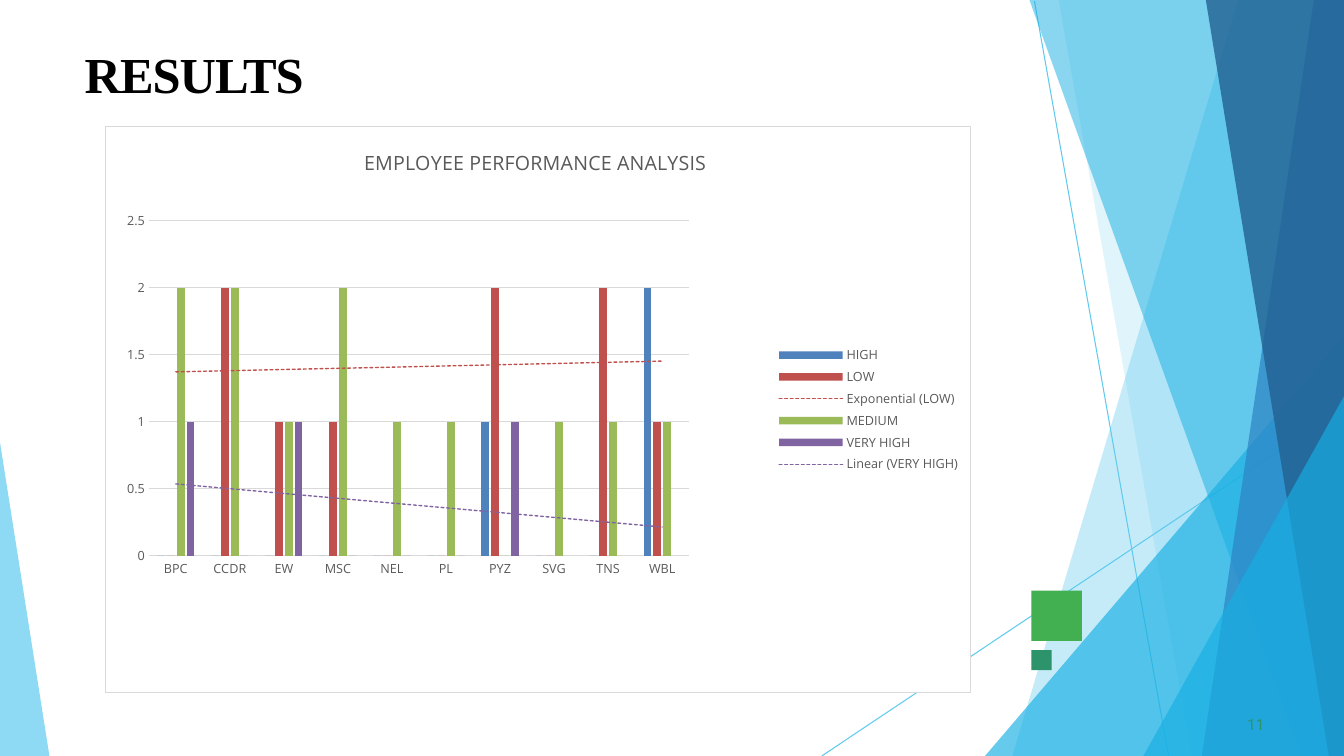
from dataclasses import dataclass

from lxml import etree
from pptx import Presentation
from pptx import util as u
from pptx.chart import data as chart_data
from pptx.dml.color import RGBColor
from pptx.enum import chart as chart_enum
from pptx.enum import dml, shapes, text
from pptx.oxml import parse_xml
from pptx.oxml.ns import nsdecls, qn

WIDTH, HEIGHT = 13.33, 7.5
COLORS = {
    "sky": "5FCAEE", "cyan": "17AFE3", "blue": "2D83C3", "navy": "226192",
    "green": "42AF51", "teal": "2D936B", "black": "000000", "white": "FFFFFF",
    "label": "595959", "rule": "D9D9D9", "high": "4F81BD", "low": "C0504D",
    "medium": "9BBB59", "very_high": "8064A2",
}


@dataclass
class Facet:
    color: str
    opacity: int
    points: list[tuple[float, float]]


@dataclass
class Ray:
    start: tuple[float, float]
    end: tuple[float, float]


@dataclass
class Square:
    left: float
    top: float
    side: float
    color: str


@dataclass
class Rating:
    name: str
    counts: tuple
    color: str
    trend: str = ""


def right_facet(color: str, opacity: int, top_left: float, bottom_left: float) -> Facet:
    return Facet(color, opacity, [(WIDTH, 0), (top_left, 0), (bottom_left, HEIGHT), (WIDTH, HEIGHT)])


def corner_facet(color: str, opacity: int, top: float, left: float) -> Facet:
    return Facet(color, opacity, [(WIDTH, top), (left, HEIGHT), (WIDTH, HEIGHT)])


RAYS = [Ray((10.26, 0.01), (11.59, HEIGHT)), Ray((WIDTH, 4.04), (8.15, HEIGHT))]
FACETS = [
    right_facet("sky", 36, 12.28, 10.04),
    right_facet("sky", 20, 10.5, 11.82),
    corner_facet("cyan", 66, 3.33, 9.77),
    right_facet("cyan", 50, 10.21, 12.91),
    right_facet("blue", 70, 13.03, 11.92),
    right_facet("navy", 80, 11.96, 13.18),
    corner_facet("cyan", 66, 3.93, 11.34),
    Facet("sky", 70, [(0, 4.39), (0, HEIGHT), (0.49, HEIGHT)]),
]
SQUARES = [Square(10.23, 5.86, 0.5, "green"), Square(10.23, 6.45, 0.2, "teal")]
UNITS = ["BPC", "CCDR", "EW", "MSC", "NEL", "PL", "PYZ", "SVG", "TNS", "WBL"]
RATINGS = [
    Rating("HIGH", (0, 0, 0, 0, 0, 0, 1, 0, 0, 2), "high"),
    Rating("LOW", (0, 2, 1, 1, 0, 0, 2, 0, 2, 1), "low", "exp"),
    Rating("MEDIUM", (2, 2, 1, 2, 1, 1, 0, 1, 1, 1), "medium"),
    Rating("VERY HIGH", (1, 0, 1, 0, 0, 0, 1, None, None, None), "very_high", "linear"),
]


def rgb(color: str) -> RGBColor:
    return RGBColor.from_string(COLORS[color])


def paint(shape, color: str) -> None:
    shape.shadow.inherit = False
    shape.fill.solid()
    shape.fill.fore_color.rgb = rgb(color)
    shape.line.fill.background()


def style_font(font, size: float, color: str, name: str = "Open Sans", bold: bool = False) -> None:
    font.size, font.name, font.bold = u.Pt(size), name, bold
    font.color.rgb = rgb(color)


def draw_ray(slide, ray: Ray) -> None:
    ends = [u.Inches(value) for value in (*ray.start, *ray.end)]
    line = slide.shapes.add_connector(shapes.MSO_CONNECTOR.STRAIGHT, *ends)
    line.line.color.rgb = rgb("sky")
    line.line.width = u.Pt(0.75)
    etree.SubElement(line._element.spPr, qn("a:effectLst"))


def draw_facet(slide, facet: Facet) -> None:
    corners = [(u.Inches(x), u.Inches(y)) for x, y in facet.points]
    builder = slide.shapes.build_freeform(*corners[0])
    builder.add_line_segments(corners[1:], close=True)
    shape = builder.convert_to_shape()
    paint(shape, facet.color)
    fill_color = shape._element.spPr.find(qn("a:solidFill")).find(qn("a:srgbClr"))
    etree.SubElement(fill_color, qn("a:alpha")).set("val", str(facet.opacity * 1000))


def draw_square(slide, square: Square) -> None:
    bounds = [u.Inches(value) for value in (square.left, square.top, square.side, square.side)]
    paint(slide.shapes.add_shape(shapes.MSO_SHAPE.RECTANGLE, *bounds), square.color)


def write_text(shape, words: str, bounds: tuple, indent: float, before: float):
    shape.left, shape.top, shape.width, shape.height = [u.Inches(value) for value in bounds]
    frame = shape.text_frame
    frame.text = words
    frame.word_wrap = True
    frame.auto_size = text.MSO_AUTO_SIZE.NONE
    frame.vertical_anchor = text.MSO_ANCHOR.TOP
    frame.margin_left = u.Inches(indent)
    frame.margin_right = frame.margin_bottom = 0
    frame.margin_top = u.Inches(0.01)
    paragraph = frame.paragraphs[0]
    paragraph.alignment = text.PP_ALIGN.LEFT
    paragraph.space_before = u.Pt(before)
    return paragraph.runs[0]


def add_trend(series, rating: Rating) -> None:
    trend = parse_xml(
        f'<c:trendline {nsdecls("c", "a")}><c:spPr><a:ln w="12700" cap="rnd"><a:solidFill>'
        f'<a:srgbClr val="{COLORS[rating.color]}"/></a:solidFill><a:prstDash val="sysDash"/></a:ln></c:spPr>'
        f'<c:trendlineType val="{rating.trend}"/><c:dispRSqr val="0"/><c:dispEq val="0"/></c:trendline>'
    )
    series._element.find(qn("c:cat")).addprevious(trend)


def frame_chart(chart) -> None:
    border = parse_xml(
        f'<c:spPr {nsdecls("c", "a")}><a:solidFill><a:srgbClr val="{COLORS["white"]}"/></a:solidFill>'
        f'<a:ln w="12700"><a:solidFill><a:srgbClr val="{COLORS["rule"]}"/></a:solidFill></a:ln></c:spPr>'
    )
    chart._chartSpace.find(qn("c:chart")).addnext(border)
    plot_area = chart._chartSpace.chart.plotArea
    for previous in plot_area.findall(qn("c:layout")):
        plot_area.remove(previous)
    places = "".join(
        f'<c:{key} val="{value}"/>' for key, value in
        (("layoutTarget", "inner"), ("xMode", "edge"), ("yMode", "edge"),
         ("x", 0.05), ("y", 0.166), ("w", 0.625), ("h", 0.592))
    )
    plot_area.insert(0, parse_xml(
        f'<c:layout {nsdecls("c")}><c:manualLayout>{places}</c:manualLayout></c:layout>'))


def draw_performance(slide) -> None:
    performance = chart_data.CategoryChartData()
    performance.categories = UNITS
    for rating in RATINGS:
        performance.add_series(rating.name, rating.counts)
    bounds = [u.Inches(value) for value in (1.04, 1.25, 8.59, 5.63)]
    chart = slide.shapes.add_chart(
        chart_enum.XL_CHART_TYPE.COLUMN_CLUSTERED, *bounds, performance).chart
    style_font(chart.font, 10, "black")
    chart.has_title = True
    chart.chart_title.text_frame.text = "EMPLOYEE PERFORMANCE ANALYSIS "
    style_font(chart.chart_title.text_frame.paragraphs[0].runs[0].font, 14, "label")
    chart.has_legend = True
    chart.legend.position = chart_enum.XL_LEGEND_POSITION.RIGHT
    chart.legend.include_in_layout = False
    style_font(chart.legend.font, 9, "label")
    for axis in (chart.category_axis, chart.value_axis):
        axis.major_tick_mark = axis.minor_tick_mark = chart_enum.XL_TICK_MARK.NONE
        style_font(axis.tick_labels.font, 9, "label")
    counts = chart.value_axis
    counts.minimum_scale, counts.maximum_scale, counts.major_unit = 0, 2.5, 0.5
    counts.format.line.fill.background()
    for rule in (chart.category_axis.format.line, counts.major_gridlines.format.line):
        rule.color.rgb = rgb("rule")
        rule.width = u.Pt(1)
    plot = chart.plots[0]
    plot.gap_width, plot.overlap, plot.vary_by_categories = 219, -27, False
    for series, rating in zip(plot.series, RATINGS):
        series.format.fill.solid()
        series.format.fill.fore_color.rgb = rgb(rating.color)
        if rating.trend:
            add_trend(series, rating)
    frame_chart(chart)


def main() -> None:
    deck = Presentation()
    deck.slide_width, deck.slide_height = u.Inches(WIDTH), u.Inches(HEIGHT)
    slide = deck.slides.add_slide(deck.slide_layouts[5])
    for ray in RAYS:
        draw_ray(slide, ray)
    for facet in FACETS:
        draw_facet(slide, facet)
    for square in SQUARES:
        draw_square(slide, square)
    heading = write_text(slide.shapes.title, "RESULTS", (0.83, 0.42, 2.67, 0.62), 0.01, 1)
    style_font(heading.font, 36, "black", "Times New Roman", True)
    heading._r.get_or_add_rPr().set("spc", "-70")
    number_box = slide.shapes.add_textbox(0, 0, 0, 0)
    page_number = write_text(number_box, "11", (12.33, 7.08, 0.25, 0.19), 0.04, 0.6)
    style_font(page_number.font, 11, "teal", "Roboto")
    draw_performance(slide)
    deck.save("out.pptx")


if __name__ == "__main__":
    main()
